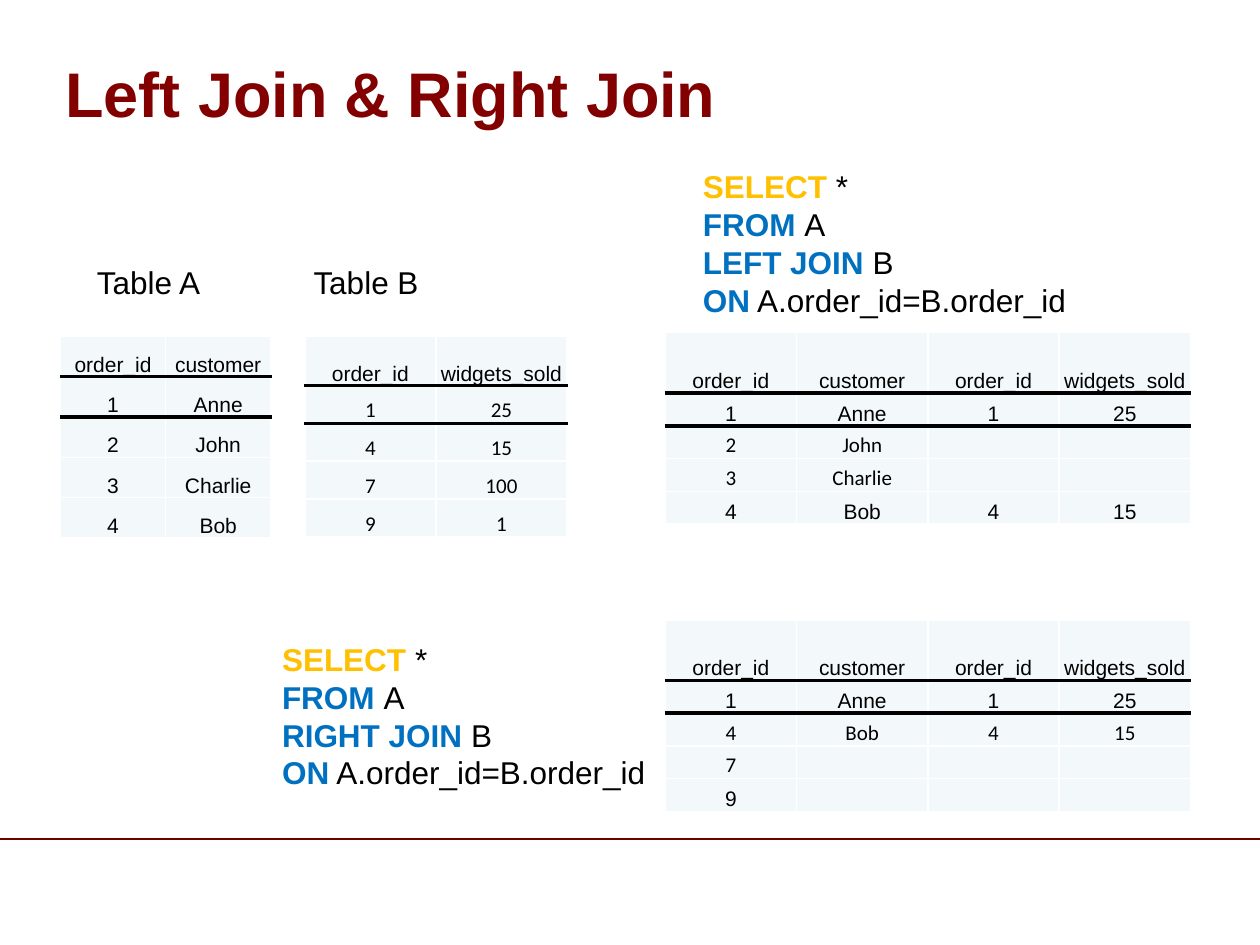
from lxml import etree
from pptx import Presentation
from pptx.dml.color import RGBColor
from pptx.enum import shapes, text
from pptx.oxml import ns
from pptx.util import Inches, Pt

COLORS = {
    "title": "820000", "rule": "6E0000", "ink": "000000", "select": "FFC000",
    "keyword": "0070C0", "cell": "F3F9FA", "grid": "FFFFFF",
}


class JoinSlide:
    """Holds the style and the current slide."""

    font, body_size, cell_size = "Arial", 18, 12

    def __init__(self, deck):
        self.page = deck.slides.add_slide(deck.slide_layouts[6])

    def color(self, name):
        return RGBColor.from_string(COLORS[name])

    def run(self, para, words, size, color="ink", bold=False, font=None):
        span = para.add_run()
        span.text = words
        span.font.name = font or self.font
        span.font.size = Pt(size)
        span.font.bold = bold
        span.font.color.rgb = self.color(color)

    def text(self, left, top, width, height, lines, size=body_size, middle=False):
        """Each line is a list of (words, color, bold) runs."""
        box = self.page.shapes.add_textbox(
            Inches(left), Inches(top), Inches(width), Inches(height))
        frame = box.text_frame
        frame.word_wrap = True
        if middle:
            frame.vertical_anchor = text.MSO_ANCHOR.MIDDLE
        for index, line in enumerate(lines):
            para = frame.add_paragraph() if index else frame.paragraphs[0]
            for words, color, bold in line:
                self.run(para, words, size, color, bold)

    def query(self, left, top, join):
        self.text(left, top, 3.11, 1.31, [
            [("SELECT ", "select", True), ("*", "ink", False)],
            [("FROM ", "keyword", True), ("A", "ink", False)],
            [(join, "keyword", True), (" B", "ink", False)],
            [("ON", "keyword", True), (" A.order_id=B.order_id", "ink", False)],
        ])

    def rule(self, top, width):
        line = self.page.shapes.add_connector(
            shapes.MSO_CONNECTOR.STRAIGHT, 0, Inches(top), Inches(width), Inches(top))
        line.line.color.rgb = self.color("rule")
        line.line.width = Pt(0.75)
        etree.SubElement(line._element.spPr, ns.qn("a:effectLst"))

    def border(self, cell, side, color, width):
        props = cell._tc.get_or_add_tcPr()
        line = etree.SubElement(props, ns.qn(f"a:ln{side}"), w=str(Pt(width)))
        fill = etree.SubElement(line, ns.qn("a:solidFill"))
        etree.SubElement(fill, ns.qn("a:srgbClr"), val=COLORS[color])

    def cell(self, cell, words, row, font):
        cell.margin_left = cell.margin_right = cell.margin_top = Inches(0.01)
        cell.margin_bottom = 0
        cell.vertical_anchor = text.MSO_ANCHOR.BOTTOM
        # Heavy lines stand above and below the first data row
        heavy = {"T": row in (1, 2), "B": row in (0, 1)}
        for side in "LRTB":
            style = ("ink", 2.25) if heavy.get(side) else ("grid", 1)
            self.border(cell, side, *style)
        cell.fill.solid()
        cell.fill.fore_color.rgb = self.color("cell")
        para = cell.text_frame.paragraphs[0]
        para.alignment = text.PP_ALIGN.CENTER
        if words:
            self.run(para, words, self.cell_size, font=font)
        else:
            # Keeps an empty cell from stretching its row
            etree.SubElement(para._p, ns.qn("a:endParaRPr"),
                             sz=str(self.cell_size * 100))

    def table(self, left, top, width, head, body, rows, calibri_rows=()):
        count = len(rows[0])
        frame = self.page.shapes.add_table(
            len(rows), count, Inches(left), Inches(top), Inches(width),
            Inches(head + body * (len(rows) - 1)))
        table = frame.table
        table.first_row = table.horz_banding = False
        for column in table.columns:
            column.width = Inches(width / count)
        for index, values in enumerate(rows):
            table.rows[index].height = Inches(body if index else head)
            font = "Calibri" if index in calibri_rows else self.font
            for column, words in enumerate(values):
                self.cell(table.cell(index, column), words, index, font)


def main():
    deck = Presentation()
    deck.slide_width, deck.slide_height = Inches(10), Inches(7.5)
    slide = JoinSlide(deck)

    # Footer rule and title
    slide.rule(6.66, 10)
    slide.text(0.42, 0.32, 9.08, 0.83,
               [[("Left Join & Right Join", "title", True)]], size=36, middle=True)

    # Source tables
    for left, name in ((0.67, "Table A"), (2.39, "Table B")):
        slide.text(left, 2.04, 1.04, 0.4, [[(name, "ink", False)]])
    slide.table(0.48, 2.67, 1.67, 0.32, 0.32, [
        ("order_id", "customer"),
        ("1", "Anne"), ("2", "John"), ("3", "Charlie"), ("4", "Bob")])
    slide.table(2.42, 2.67, 2.08, 0.39, 0.3, [
        ("order_id", "widgets_sold"),
        ("1", "25"), ("4", "15"), ("7", "100"), ("9", "1")],
        calibri_rows=(1, 2, 3, 4))

    # Joined tables share their header, first row and layout
    shared = [("order_id", "customer", "order_id", "widgets_sold"),
              ("1", "Anne", "1", "25")]
    bob = ("4", "Bob", "4", "15")
    left_rows = [("2", "John", "", ""), ("3", "Charlie", "", ""), bob]
    right_rows = [bob, ("7", "", "", ""), ("9", "", "", "")]
    for top, rows in ((2.64, left_rows), (4.92, right_rows)):
        slide.table(5.28, top, 4.17, 0.48, 0.26, shared + rows, calibri_rows=(2, 3))

    # Queries
    slide.query(5.48, 1.28, "LEFT JOIN")
    slide.query(2.14, 5.03, "RIGHT JOIN")

    deck.save("out.pptx")


if __name__ == "__main__":
    main()
